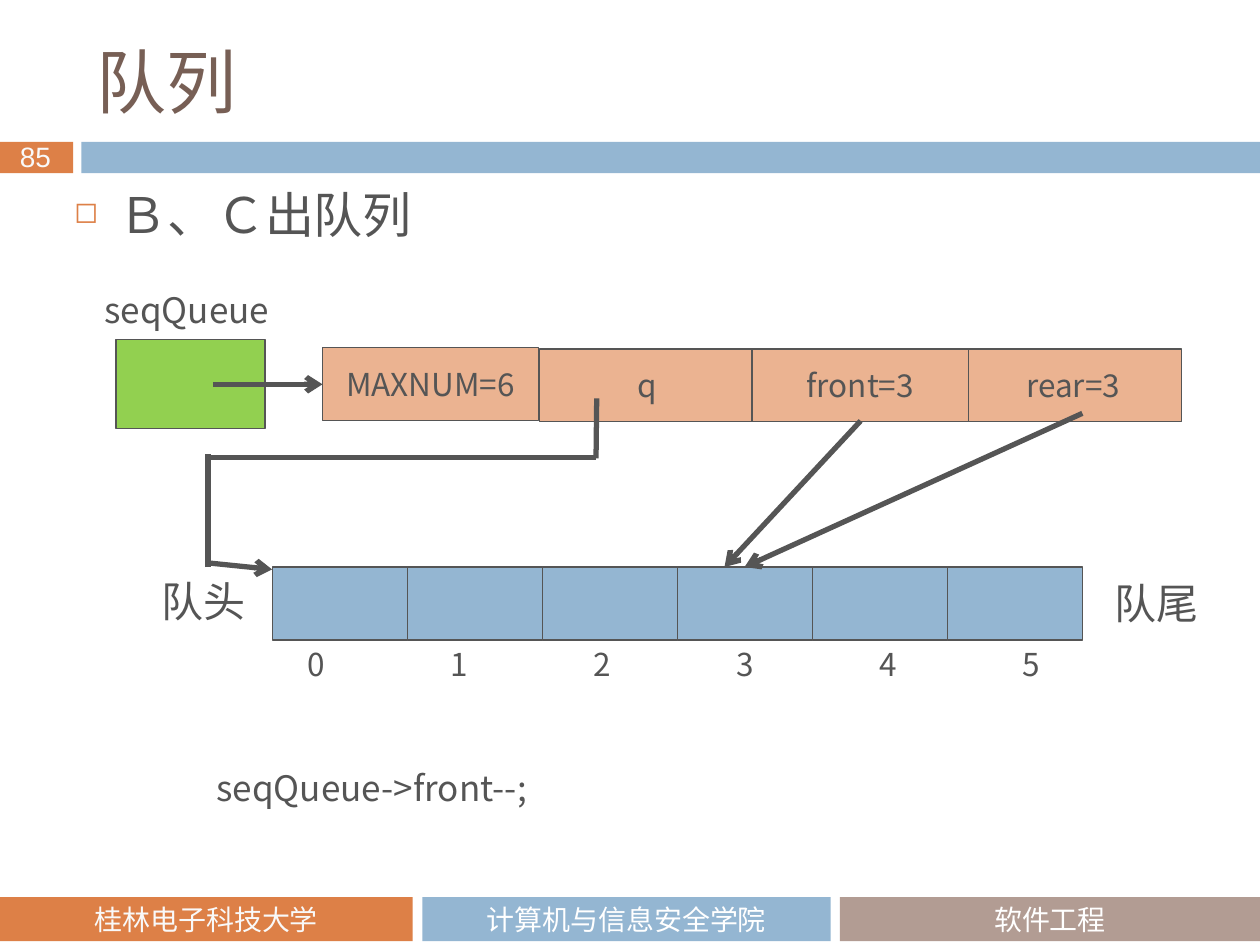
import pptx
import pptx.util
import pptx.dml.color
import pptx.enum.shapes
import pptx.enum.text
import pptx.oxml.ns
from lxml import etree

Pt = pptx.util.Pt
ALIGN = pptx.enum.text.PP_ALIGN
ANCHOR = pptx.enum.text.MSO_ANCHOR
SHAPES = pptx.enum.shapes


class Theme:
    orange, blue, taupe = "DD8047", "94B6D2", "B29C93"
    peach, green = "EBB391", "92D050"
    ink, brown, white, pale = "555555", "775F55", "FFFFFF", "F9F9F9"
    sans, title_font, footer_font, number_font = (
        "Noto Sans CJK SC", "Noto Sans CJK JP", "Calibri", "Arial")
    title, body, end, label, cell, small = 40, 28, 24, 20, 18, 16
    leading, thin, thick = 30, 0.75, 3


TITLE = "队列"
BODY = "Ｂ、Ｃ出队列"
PAGE = "85"
BANDS = [(0, 41.9, Theme.orange), (46.5, 673.5, Theme.blue)]  # left, width, fill
FOOTERS = [  # left, width, fill, text colour, text
    (0, 235.8, Theme.orange, Theme.pale, "桂林电子科技大学"),
    (241.4, 233.3, Theme.blue, Theme.white, "计算机与信息安全学院"),
    (480, 240, Theme.taupe, Theme.white, "软件工程"),
]
FIELDS = [  # left, top, text; later ones cover the edges of earlier ones
    (308.2, 199.4, "q"),
    (551.5, 199.4, "rear=3"),
    (429.8, 199.4, "front=3"),
    (184.2, 198.8, "MAXNUM=6"),
]
FIELD_SIZE = (123.7, 41.6)
QUEUE_LENGTH = 6
QUEUE_LEFT, QUEUE_TOP, QUEUE_CELL, QUEUE_HEIGHT = 155.6, 324, 77.16, 41.7
INDEX_LEFT, INDEX_TOP, INDEX_STEP = 168.5, 365.1, 81.8
LABELS = [  # left, top, width, height, size, text
    (630, 325.4, 89.3, 37.4, Theme.end, "队尾"),
    (85, 324, 67.7, 37.4, Theme.end, "队头"),
    (52.6, 155.5, 113, 37.4, Theme.label, "seqQueue"),
    (116.6, 428.4, 424.8, 84.2, Theme.label, "seqQueue->front--;"),
]
LINES = [  # from, to, arrowhead
    ((121.7, 219.6), (184.3, 219.6), True),
    ((341, 227.6), (340.6, 262), False),
    ((118.8, 324), (118.8, 259.4), False),
    ((118.8, 261.4), (340.6, 261.4), False),
    ((120.2, 321.8), (155.5, 325.4), True),
    ((491.8, 240.5), (414, 324), True),
    ((618.5, 236.2), (425.5, 324), True),
]


def rgb(value):
    return pptx.dml.color.RGBColor.from_string(value)


def add_xml(parent, tag, **attrs):
    return etree.SubElement(parent, pptx.oxml.ns.qn(tag), attrs)


def write(tf, text, size, color, font=Theme.sans, align=ALIGN.LEFT, leading=None):
    p = tf.paragraphs[0]
    p.alignment = align
    if leading:
        p.line_spacing = Pt(leading)
    r = p.add_run()
    r.text = text
    r.font.size = Pt(size)
    r.font.color.rgb = rgb(color)
    r.font.name = font
    east_asian = Theme.title_font if font == Theme.title_font else Theme.sans
    add_xml(r._r.get_or_add_rPr(), "a:ea", typeface=east_asian)


def add_box(s, left, top, width, height, fill, line=None):
    sp = s.shapes.add_shape(SHAPES.MSO_SHAPE.RECTANGLE,
                            Pt(left), Pt(top), Pt(width), Pt(height))
    sp.shadow.inherit = False
    sp.fill.solid()
    sp.fill.fore_color.rgb = rgb(fill)
    if line:
        sp.line.color.rgb = rgb(line)
        sp.line.width = Pt(Theme.thin)
    else:
        sp.line.fill.background()
    sp.text_frame.vertical_anchor = ANCHOR.MIDDLE
    return sp


def add_text(s, left, top, width, height, wrap=True):
    tf = s.shapes.add_textbox(Pt(left), Pt(top), Pt(width), Pt(height)).text_frame
    tf.word_wrap = wrap
    return tf


def add_line(s, start, end, arrow):
    c = s.shapes.add_connector(SHAPES.MSO_CONNECTOR.STRAIGHT,
                               *(Pt(v) for v in start + end))
    c.line.color.rgb = rgb(Theme.ink)
    c.line.width = Pt(Theme.thick)
    if arrow:
        add_xml(c.line._get_or_add_ln(), "a:tailEnd", type="arrow")
    add_xml(c._element.spPr, "a:effectLst")


def add_frame(s):
    """Header band, page number, footer and title."""
    for left, width, fill in BANDS:
        add_box(s, left, 81, width, 18, fill)
    write(add_text(s, 4.3, 76.3, 34.6, 26.6, wrap=False),
          PAGE, Theme.small, Theme.pale, Theme.number_font)
    for left, width, fill, color, text in FOOTERS:
        sp = add_box(s, left, 512.6, width, 25.2, fill)
        write(sp.text_frame, text, Theme.small, color, Theme.footer_font, ALIGN.CENTER)
    title = s.shapes.title
    title.left, title.top, title.width, title.height = (
        Pt(v) for v in (48.2, 18, 642.2, 56.2))
    title.text_frame.vertical_anchor = ANCHOR.MIDDLE
    write(title.text_frame, TITLE, Theme.title, Theme.brown, Theme.title_font)


def add_body(s):
    tf = add_text(s, 35.3, 105.8, 642.2, 49.7)
    pPr = tf.paragraphs[0]._p.get_or_add_pPr()
    pPr.set("marL", str(Pt(25.2)))
    pPr.set("indent", str(Pt(-25.2)))
    add_xml(add_xml(pPr, "a:buClr"), "a:srgbClr", val=Theme.orange)
    add_xml(pPr, "a:buSzPct", val="60000")
    add_xml(pPr, "a:buChar", char="◻")
    write(tf, BODY, Theme.body, Theme.ink, leading=Theme.leading)


def add_diagram(s):
    for left, top, text in FIELDS:
        sp = add_box(s, left, top, *FIELD_SIZE, Theme.peach, Theme.ink)
        write(sp.text_frame, text, Theme.cell, Theme.ink, align=ALIGN.CENTER)
    add_box(s, 66.3, 193.9, 85.2, 51, Theme.green, Theme.ink)
    for i in reversed(range(QUEUE_LENGTH)):
        add_box(s, QUEUE_LEFT + i * QUEUE_CELL, QUEUE_TOP,
                QUEUE_CELL, QUEUE_HEIGHT, Theme.blue, Theme.ink)
    for i in range(QUEUE_LENGTH):
        tf = add_text(s, INDEX_LEFT + i * INDEX_STEP, INDEX_TOP, 25.9, 28.8, wrap=False)
        write(tf, str(i), Theme.cell, Theme.ink)
    for left, top, width, height, size, text in LABELS:
        write(add_text(s, left, top, width, height), text, size, Theme.ink,
              leading=Theme.leading)
    for line in LINES:
        add_line(s, *line)


def main():
    prs = pptx.Presentation()
    prs.slide_width, prs.slide_height = Pt(720), Pt(540)
    s = prs.slides.add_slide(prs.slide_layouts[5])
    add_frame(s)
    add_diagram(s)
    add_body(s)
    prs.save("out.pptx")


if __name__ == "__main__":
    main()
